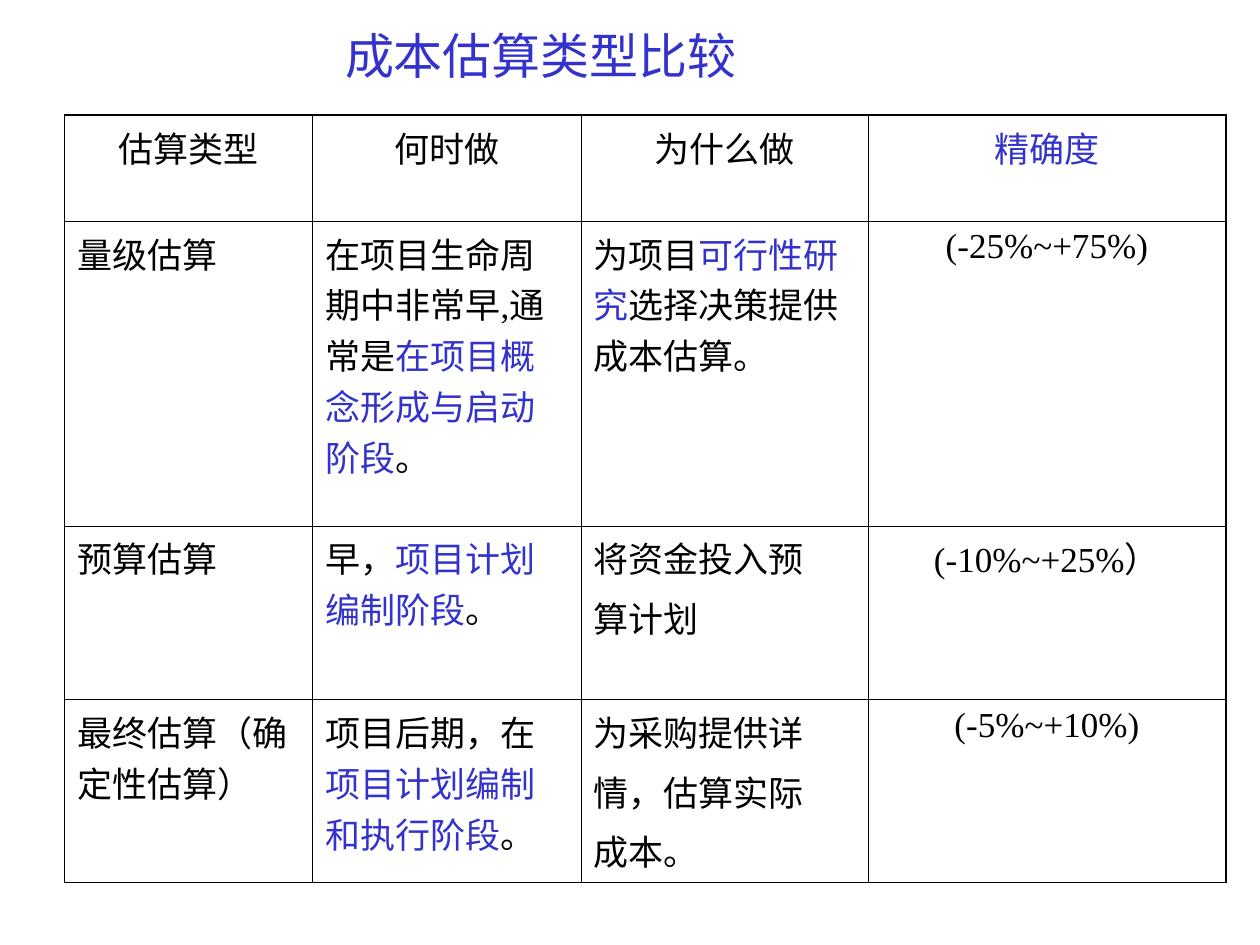
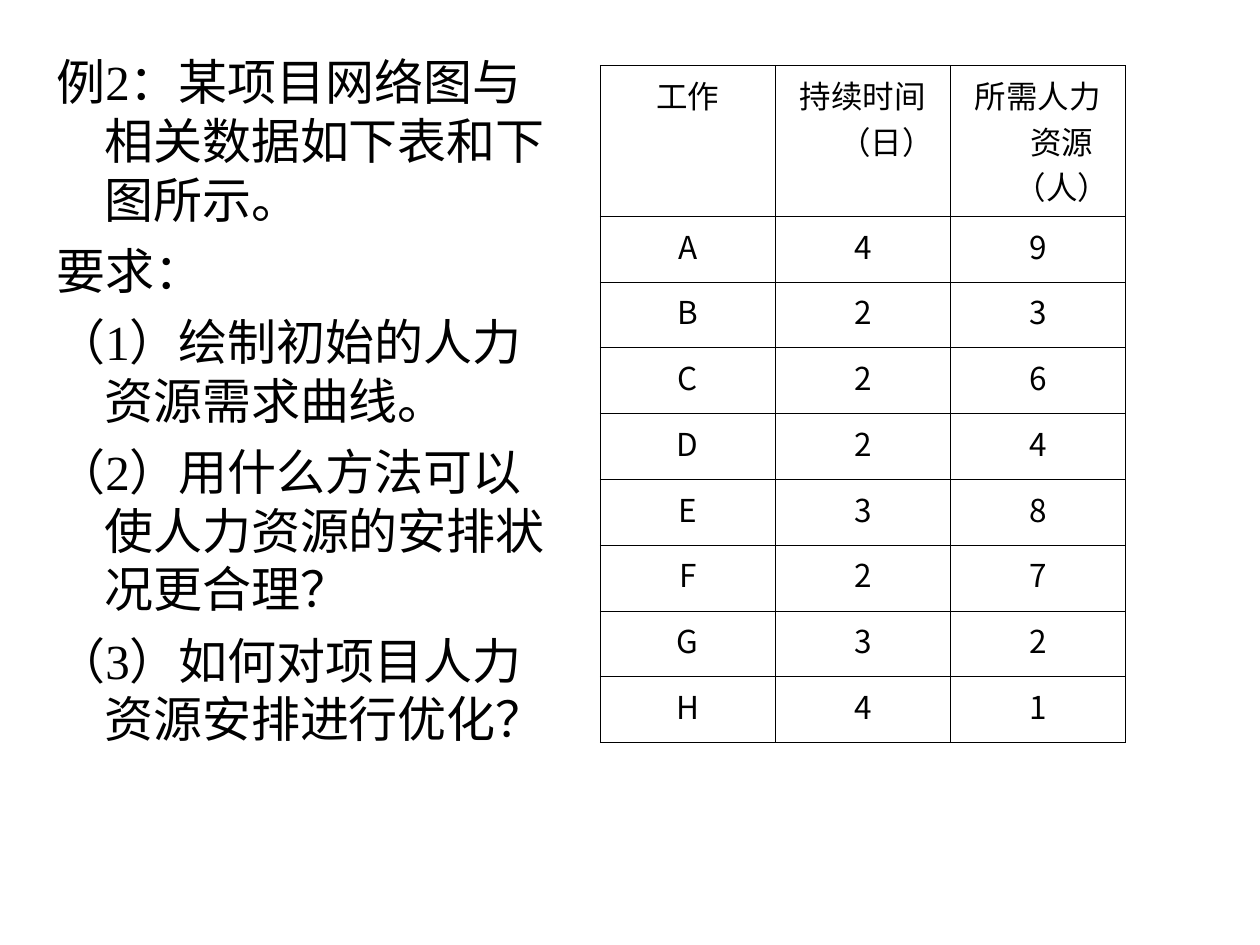
"""Build two slides on cost estimate types and a resource levelling exercise."""
from dataclasses import dataclass

from lxml.etree import SubElement
from pptx import Presentation
from pptx.dml.color import RGBColor
from pptx.enum.text import PP_ALIGN
from pptx.oxml import parse_xml
from pptx.oxml.ns import nsdecls, qn
from pptx.util import Emu, Inches, Pt

BLACK = RGBColor(0x00, 0x00, 0x00)
ACCENT = RGBColor(0x33, 0x33, 0xCC)
SERIF = "Times New Roman"
SANS = "Noto Sans CJK SC"
SLIDE_WIDTH = Inches(10)
SLIDE_HEIGHT = Inches(7.5)
HANGING_INDENT = Inches(0.38)
THIN_LINE = 0.45
THICK_LINE = 1.08
ACCENT_MARK = "|"

ESTIMATE_ROWS = [
    ["估算类型", "何时做", "为什么做", "|精确度|"],
    ["量级估算", "在项目生命周期中非常早,通常是|在项目概念形成与启动阶段|。",
     "为项目|可行性研究|选择决策提供成本估算。", "(-25%~+75%)"],
    ["预算估算", "早，|项目计划编制阶段|。", "将资金投入预\n算计划", "(-10%~+25%）"],
    ["最终估算（确定性估算）", "项目后期，在|项目计划编制和执行阶段|。",
     "为采购提供详\n情，估算实际\n成本。", "(-5%~+10%)"],
]
ACTIVITY_ROWS = [["工作", "持续时间（日）", "所需人力资源（人）"]] + [
    list(activity) for activity in ("A49", "B23", "C26", "D24", "E38", "F27", "G32", "H41")
]
EXERCISE = "\n".join([
    "例2：某项目网络图与相关数据如下表和下图所示。",
    "要求：",
    "（1）绘制初始的人力资源需求曲线。",
    "（2）用什么方法可以使人力资源的安排状况更合理？",
    "（3）如何对项目人力资源安排进行优化？",
])


@dataclass(frozen=True)
class Area:
    """A rectangle in percent of the slide's width and height."""

    left: float
    top: float
    width: float
    height: float

    def lengths(self) -> tuple[Emu, Emu, Emu, Emu]:
        """Return left, top, width and height as lengths."""
        return (Emu(int(SLIDE_WIDTH * self.left / 100)),
                Emu(int(SLIDE_HEIGHT * self.top / 100)),
                Emu(int(SLIDE_WIDTH * self.width / 100)),
                Emu(int(SLIDE_HEIGHT * self.height / 100)))


@dataclass(frozen=True)
class Grid:
    """A bordered table with relative column widths and row heights."""

    area: Area
    columns: list[float]
    rows: list[float]
    cells: list[list[str]]
    font: str
    size: float
    outline: float
    centred_columns: set[int]
    space_before: float = 0
    hanging: bool = False


def write_text(frame, text: str, *, size: float, font: str = SERIF, color: RGBColor = BLACK,
               align: PP_ALIGN = PP_ALIGN.LEFT, space_before: float = 0,
               line_spacing: float = 1.0, hanging: bool = False) -> None:
    """Fill a text frame, one paragraph a line, with marked stretches in the accent colour."""
    frame.word_wrap = True
    for number, line in enumerate(text.split("\n")):
        paragraph = frame.add_paragraph() if number else frame.paragraphs[0]
        paragraph.alignment = align
        paragraph.line_spacing = line_spacing
        paragraph.space_before = Pt(space_before if number else 0)
        if hanging:
            properties = paragraph._p.get_or_add_pPr()
            properties.set("marL", str(HANGING_INDENT))
            properties.set("indent", str(-HANGING_INDENT))
        for position, piece in enumerate(line.split(ACCENT_MARK)):
            if not piece:
                continue
            run = paragraph.add_run()
            run.text = piece
            run.font.size = Pt(size)
            run.font.name = font
            run.font.color.rgb = ACCENT if position % 2 else color
            SubElement(run._r.get_or_add_rPr(), qn("a:ea"), typeface=SANS)


def add_text(slide, area: Area, text: str, **text_format) -> None:
    """Add a text box to the slide."""
    write_text(slide.shapes.add_textbox(*area.lengths()).text_frame, text, **text_format)


def draw_borders(cell, widths: dict[str, float]) -> None:
    """Give a cell its four black borders, with widths in points."""
    properties = cell._tc.get_or_add_tcPr()
    for position, (side, width) in enumerate(widths.items()):
        properties.insert(position, parse_xml(
            f'<a:ln{side} {nsdecls("a")} w="{Pt(width)}"><a:solidFill>'
            f'<a:srgbClr val="{BLACK}"/></a:solidFill></a:ln{side}>'))


def add_grid(slide, grid: Grid) -> None:
    """Add a table to the slide."""
    left, top, width, height = grid.area.lengths()
    last_row, last_column = len(grid.rows) - 1, len(grid.columns) - 1
    table = slide.shapes.add_table(last_row + 1, last_column + 1, left, top, width, height).table
    table.first_row = table.horz_banding = False
    for column, share in zip(table.columns, grid.columns):
        column.width = Emu(int(width * share / sum(grid.columns)))
    for row, share in zip(table.rows, grid.rows):
        row.height = Emu(int(height * share / sum(grid.rows)))
    for row_number, texts in enumerate(grid.cells):
        for column_number, text in enumerate(texts):
            cell = table.cell(row_number, column_number)
            centred = row_number == 0 or column_number in grid.centred_columns
            write_text(cell.text_frame, text, size=grid.size, font=grid.font,
                       align=PP_ALIGN.CENTER if centred else PP_ALIGN.LEFT,
                       space_before=grid.space_before, hanging=grid.hanging)
            cell.fill.background()
            on_edge = {"L": column_number == 0, "R": column_number == last_column,
                       "T": row_number == 0, "B": row_number == last_row}
            draw_borders(cell, {side: grid.outline if edge else THIN_LINE
                                for side, edge in on_edge.items()})


def build_estimate_slide(slide) -> None:
    """Compare the types of cost estimate."""
    add_text(slide, Area(26.4, 2.8, 41.7, 7.33), "成本估算类型比较",
             size=28, color=ACCENT, line_spacing=0.9, hanging=True)
    add_grid(slide, Grid(
        Area(5.13, 12.19, 92.15, 81.2), columns=[1.97, 2.13, 2.28, 2.84],
        rows=[0.84, 2.42, 1.38, 1.45], cells=ESTIMATE_ROWS, font=SERIF, size=20,
        outline=THICK_LINE, centred_columns={3}, space_before=5))


def build_exercise_slide(slide) -> None:
    """Set the exercise beside its table of activities."""
    add_text(slide, Area(3.5, 4.8, 41.7, 82.93), EXERCISE,
             size=28, space_before=7, hanging=True)
    add_grid(slide, Grid(
        Area(47.63, 6.95, 41.7, 71.64), columns=[1] * 3, rows=[1.19] + [0.52] * 8,
        cells=ACTIVITY_ROWS, font=SANS, size=18, outline=THIN_LINE,
        centred_columns={0, 1, 2}, hanging=True))


def main() -> None:
    """Build and save the presentation."""
    presentation = Presentation()
    presentation.slide_width = SLIDE_WIDTH
    presentation.slide_height = SLIDE_HEIGHT
    blank_layout = presentation.slide_layouts[6]
    for build_slide in (build_estimate_slide, build_exercise_slide):
        build_slide(presentation.slides.add_slide(blank_layout))
    presentation.save("out.pptx")


if __name__ == "__main__":
    main()
